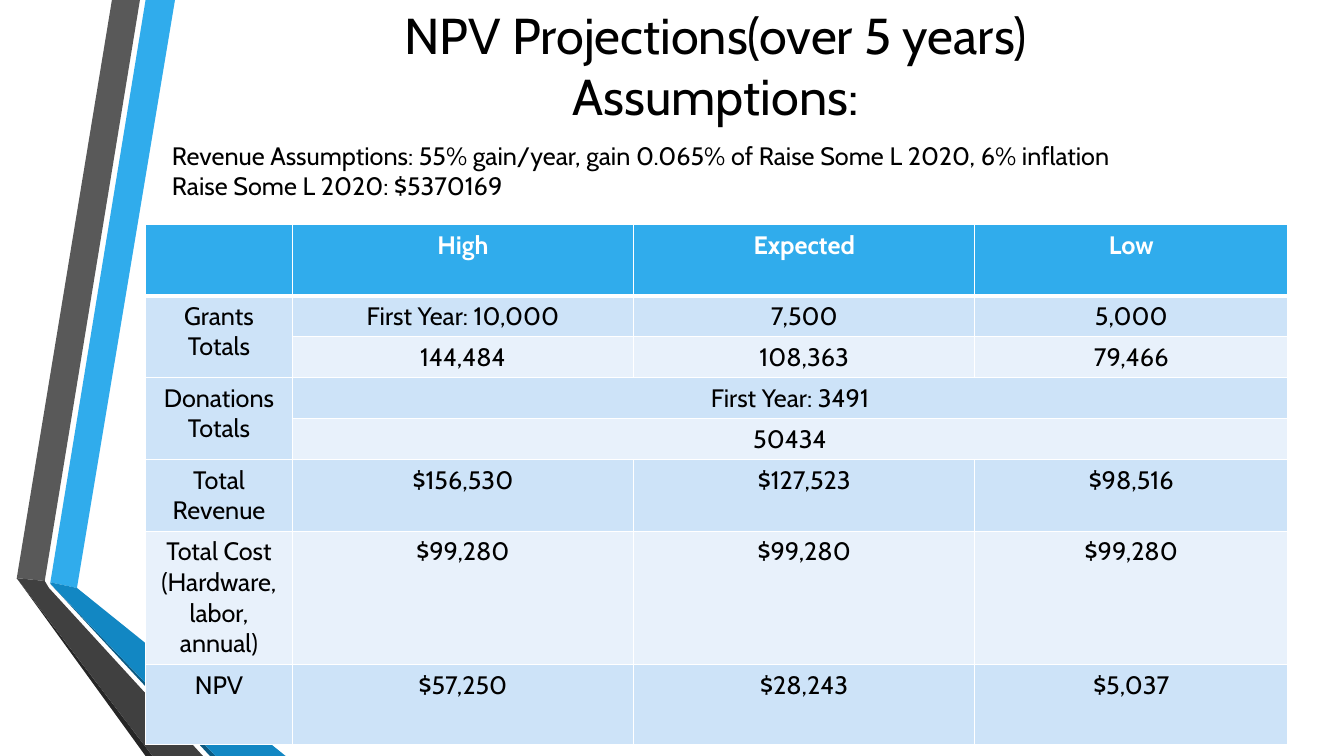
from lxml import etree
from pptx import Presentation
from pptx.dml.color import RGBColor
from pptx.enum.text import MSO_ANCHOR, PP_ALIGN
from pptx.oxml.ns import qn
from pptx.util import Pt

# Content
TITLE = ["NPV Projections(over 5 years)", "Assumptions:"]
NOTES = [
    "Revenue Assumptions: 55% gain/year, gain 0.065% of Raise Some L 2020, 6% inflation",
    "Raise Some L 2020: $5370169",
]
# One row each: height, fill, cells (None lies under a merged cell)
ROWS = [
    (50.7, "head", ["", "High", "Expected", "Low"]),
    (29.3, "band", ["Grants\nTotals", "First Year: 10,000", "7,500", "5,000"]),
    (29.3, "pale", [None, "144,484", "108,363", "79,466"]),
    (29.3, "band", ["Donations\nTotals", "First Year: 3491", None, None]),
    (29.3, "pale", [None, "50434", None, None]),
    (51.1, "band", ["Total Revenue", "$156,530", "$127,523", "$98,516"]),
    (95.3, "pale", ["Total Cost\n(Hardware, labor,\nannual)", "$99,280", "$99,280", "$99,280"]),
    (57, "band", ["NPV", "$57,250", "$28,243", "$5,037"]),
]
COLS = [104.8, 243.8, 243.8, 223.4]
MERGES = [((1, 0), (2, 0)), ((3, 0), (4, 0)), ((3, 1), (3, 3)), ((4, 1), (4, 3))]

# Ribbon pieces: fill, corners
RIBBON = [
    ("head", [(36, 416.2), (55.4, 419.8), (124.6, 0), (104.4, 0)]),
    ("grey", [(100.1, 0), (79.9, 0), (11.5, 412.6), (31.7, 415.4)]),
    ("black", [(11.5, 412.6), (104.4, 540), (108.7, 540)]),
    ("navy", [(36, 416.9), (149.8, 540), (154.1, 540)]),
    ("blue", [(36, 416.2), (36, 416.9), (154.1, 540), (203.8, 540), (55.4, 419.8)]),
    ("coal", [(145.4, 540), (34.6, 419.8), (31.7, 415.4), (11.5, 412.6), (108.7, 540)]),
]

THEME = {
    "font": "Cabin", "title": 36, "body": 18,
    "text": "000000", "white": "FFFFFF",
    "head": "30ACEC", "band": "CDE3F8", "pale": "E8F1FB",
    "grey": "595959", "black": "262626", "navy": "0C5A82",
    "blue": "1287C3", "coal": "404040",
}


def tint(name):
    return RGBColor.from_string(THEME[name])


def write(frame, lines, size="body", color="text", bold=False, align=PP_ALIGN.CENTER):
    for i, line in enumerate(lines):
        para = frame.paragraphs[0] if i == 0 else frame.add_paragraph()
        para.alignment = align
        run = para.add_run()
        run.text = line
        font = run.font
        font.name, font.size, font.bold = THEME["font"], Pt(THEME[size]), bold
        font.color.rgb = tint(color)


def add_box(slide, left, top, width, height, inset=7.2, foot=3.6, anchor=MSO_ANCHOR.TOP):
    frame = slide.shapes.add_textbox(Pt(left), Pt(top), Pt(width), Pt(height)).text_frame
    frame.word_wrap = True
    frame.vertical_anchor = anchor
    frame.margin_left, frame.margin_bottom = Pt(inset), Pt(foot)
    return frame


def edge(cell, sides):
    props = cell._tc.get_or_add_tcPr()
    for i, (side, width) in enumerate(sides.items()):
        line = etree.Element(qn("a:ln" + side), w=str(Pt(width)))
        fill = etree.SubElement(line, qn("a:solidFill"))
        etree.SubElement(fill, qn("a:srgbClr"), val=THEME["white"])
        props.insert(i, line)


def add_ribbon(slide):
    for name, points in RIBBON:
        draft = slide.shapes.build_freeform(*points[0], scale=Pt(1))
        draft.add_line_segments(points[1:], close=True)
        shape = draft.convert_to_shape()
        shape.shadow.inherit = False
        shape.fill.solid()
        shape.fill.fore_color.rgb = tint(name)
        shape.line.fill.background()


def add_grid(slide):
    high = sum(row[0] for row in ROWS)
    grid = slide.shapes.add_table(
        len(ROWS), len(COLS), Pt(104), Pt(160.6), Pt(sum(COLS)), Pt(high)).table
    for col, width in zip(grid.columns, COLS):
        col.width = Pt(width)
    for r, (height, fill, texts) in enumerate(ROWS):
        grid.rows[r].height = Pt(height)
        top = r == 0
        for c, text in enumerate(texts):
            cell = grid.cell(r, c)
            cell.fill.solid()
            cell.fill.fore_color.rgb = tint(fill)
            edge(cell, {"L": 1, "R": 1, "T": 3 if r == 1 else 1, "B": 3 if top else 1})
            if text:
                write(cell.text_frame, text.split("\n"),
                      color="white" if top else "text", bold=top)
    for first, last in MERGES:
        grid.cell(*first).merge(grid.cell(*last))


def main():
    deck = Presentation()
    deck.slide_width, deck.slide_height = Pt(960), Pt(540)
    slide = deck.slides.add_slide(deck.slide_layouts[6])
    # Ribbon at the left edge
    add_ribbon(slide)
    # Title grows upwards from its foot
    title = add_box(slide, 116.6, 38.2, 789.1, 58.3, foot=7, anchor=MSO_ANCHOR.BOTTOM)
    write(title, TITLE, size="title")
    # Table of projections
    add_grid(slide)
    # Assumptions
    notes = add_box(slide, 79.2, 96.5, 750.2, 51.1, inset=43.6)
    write(notes, NOTES, align=PP_ALIGN.LEFT)
    deck.save("out.pptx")


if __name__ == "__main__":
    main()
